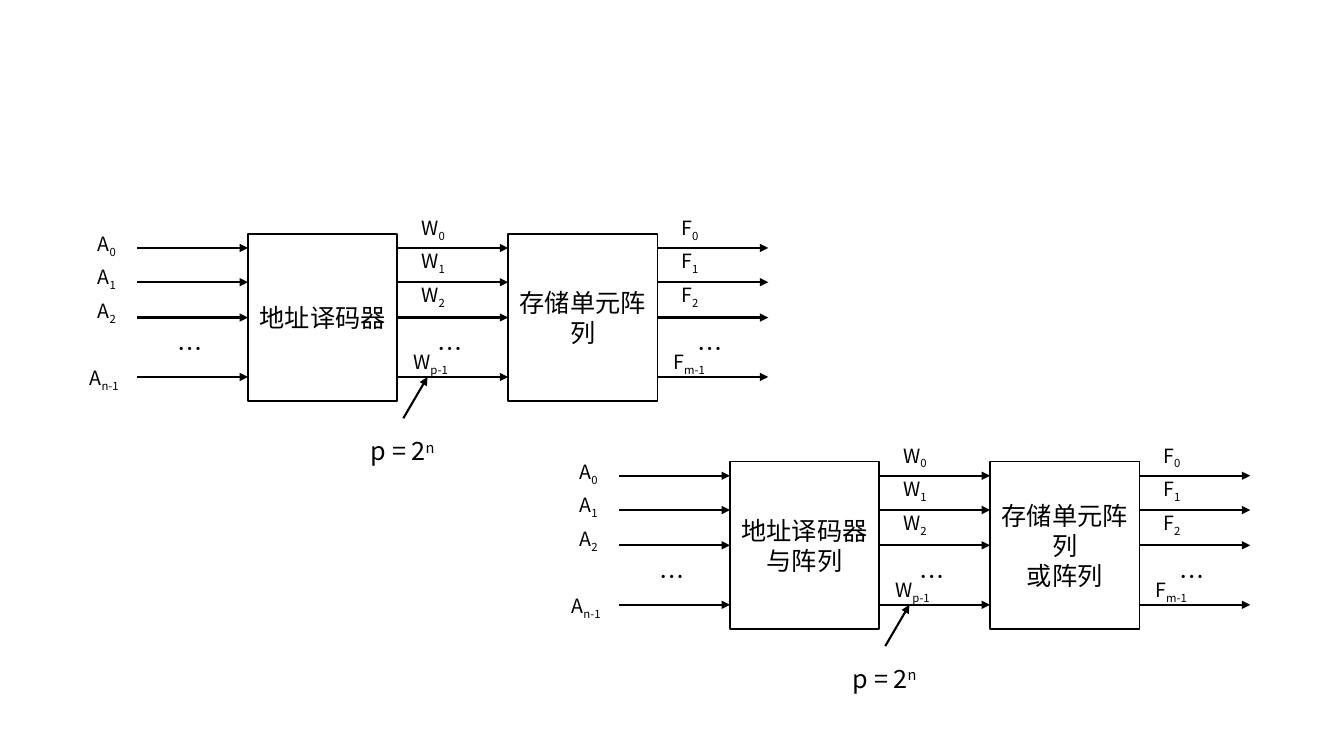
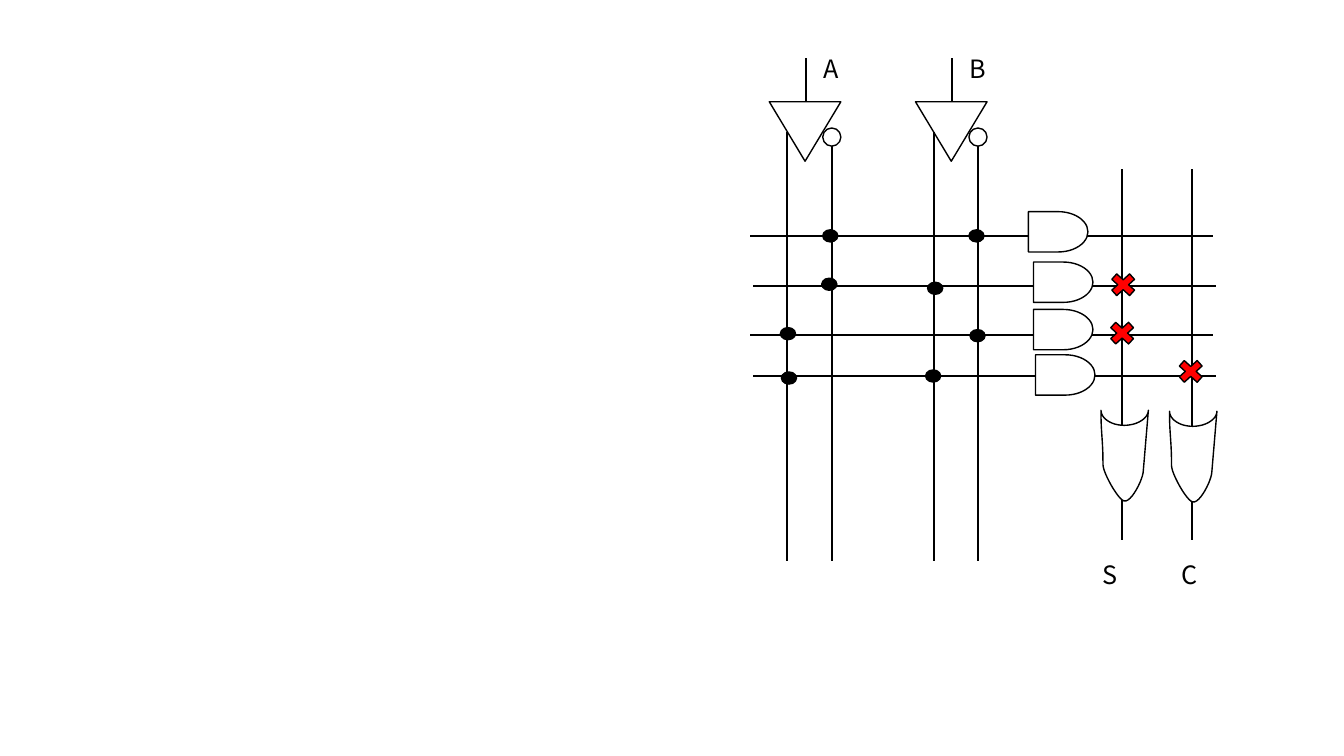
"""Two slides of memory logic: block diagrams and a programmable gate array."""
from dataclasses import dataclass

from lxml import etree
from pptx import Presentation
from pptx.dml.color import RGBColor
from pptx.enum.shapes import MSO_CONNECTOR, MSO_SHAPE
from pptx.enum.text import MSO_ANCHOR, MSO_AUTO_SIZE, PP_ALIGN
from pptx.oxml.ns import qn
from pptx.util import Inches, Pt

STRAIGHT = MSO_CONNECTOR.STRAIGHT
RECTANGLE, OVAL = MSO_SHAPE.RECTANGLE, MSO_SHAPE.OVAL
BUFFER = MSO_SHAPE.FLOWCHART_EXTRACT
AND_GATE = MSO_SHAPE.FLOWCHART_DELAY
CROSS = MSO_SHAPE.MATH_MULTIPLY
MIDDLE = MSO_ANCHOR.MIDDLE
GROW = MSO_AUTO_SIZE.SHAPE_TO_FIT_TEXT
CENTER, LEFT = PP_ALIGN.CENTER, PP_ALIGN.LEFT
BLANK_LAYOUT = 6
SUBSCRIPT, SUPERSCRIPT = -25000, 30000


@dataclass(frozen=True)
class Theme:
    """Colours, font, type sizes and line widths shared by the slides."""
    ink: RGBColor = RGBColor(0, 0, 0)
    paper: RGBColor = RGBColor(255, 255, 255)
    mark: RGBColor = RGBColor(255, 0, 0)
    font: str = "Noto Sans CJK SC"
    text: Pt = Pt(18)
    signal: Pt = Pt(14)
    outline: Pt = Pt(1)
    wire: Pt = Pt(1.5)


THEME = Theme()

# Signal rows, measured from the top of a block
WIRE_ROWS = (0.14, 0.48, 0.83, 1.42)
LABEL_SLOTS = (0, 1, 2, 4)
LABEL_STEP = 0.333
WIRE_LENGTH = 1.1
STAGE_STEP = 2.58
BLOCK_WIDTH, BLOCK_HEIGHT = 1.48, 1.66

# Gate array
ARRAY_TOP, ARRAY_BOTTOM = 1.89, 5.57
INPUTS = (("A", 7.63), ("B", 9.08))
PRODUCT_ROWS = ((7.44, 2.34), (7.47, 2.84), (7.44, 3.32), (7.47, 3.73))
ROW_LENGTH = 4.59
AND_GATES = ((10.2, 2.1), (10.25, 2.6), (10.25, 3.07), (10.27, 3.52))
DOTS = ((8.16, 2.28), (9.61, 2.28), (8.15, 2.76), (9.2, 2.8),
        (7.74, 3.25), (7.75, 3.69), (9.62, 3.27), (9.18, 3.67))
SUM_LINES = (11.13, 11.82)
OR_GATES = ((10.92, 4.07), (11.6, 4.08))
CROSSES = ((10.97, 2.67), (10.96, 3.15), (11.64, 3.53))
OUTPUTS = (("S", 10.84), ("C", 11.62))
# Cubic segments of an OR gate, measured from its upper left corner
OR_CURVES = (
    ((0, 0), (0, 0.08), (0.1, 0.15), (0.23, 0.15)),
    ((0.23, 0.15), (0.36, 0.15), (0.47, 0.08), (0.47, 0)),
    ((0.42, 0.6), (0.42, 0.68), (0.3, 0.92), (0.23, 0.9)),
    ((0.23, 0.9), (0.17, 0.89), (0.02, 0.62), (0.02, 0.54)),
    ((0.02, 0.54), (0.02, 0.28), (0, 0.25), (0, 0)),
)
CURVE_STEPS = 12


def style_paragraph(para, size, align=LEFT):
    """Set the font, colour, size and alignment of a paragraph."""
    para.alignment = align
    para.font.size = size
    para.font.color.rgb = THEME.ink
    para.font.name = THEME.font
    east_asian = etree.SubElement(para.font._element, qn("a:ea"))
    east_asian.set("typeface", THEME.font)


def paint(shape, fill):
    """Give a shape a flat fill and a thin dark outline."""
    shape.shadow.inherit = False
    shape.fill.solid()
    shape.fill.fore_color.rgb = fill
    shape.line.color.rgb = THEME.ink
    shape.line.width = THEME.outline


def add_figure(shapes, kind, left, top, width, height, fill=THEME.paper):
    """Add a painted preset shape."""
    figure = shapes.add_shape(kind, Inches(left), Inches(top),
                              Inches(width), Inches(height))
    paint(figure, fill)
    return figure


def add_wire(shapes, start, end, arrow=False):
    """Add a straight line, with an arrowhead at its end if asked."""
    wire = shapes.add_connector(STRAIGHT, *map(Inches, start + end))
    wire.line.color.rgb = THEME.ink
    wire.line.width = THEME.wire
    if arrow:
        head = etree.SubElement(wire.line._get_or_add_ln(), qn("a:tailEnd"))
        head.set("type", "triangle")
    etree.SubElement(wire._element.spPr, qn("a:effectLst"))


def add_label(shapes, left, top, width, text, size=THEME.text,
              script="", baseline=SUBSCRIPT):
    """Add a one-line label with an optional raised or lowered part."""
    height = 0.4 if size == THEME.text else 0.34
    box = shapes.add_textbox(Inches(left), Inches(top),
                             Inches(width), Inches(height))
    box.text_frame.word_wrap = True
    box.text_frame.auto_size = GROW
    para = box.text_frame.paragraphs[0]
    style_paragraph(para, size)
    para.add_run().text = text
    if script:
        span = para.add_run()
        span.text = script
        span.font._element.set("baseline", str(baseline))


def add_block(shapes, left, top, lines):
    """Add a rectangular block with centred text."""
    block = add_figure(shapes, RECTANGLE, left, top, BLOCK_WIDTH, BLOCK_HEIGHT)
    frame = block.text_frame
    frame.vertical_anchor = MIDDLE
    frame.text = "\n".join(lines)
    for para in frame.paragraphs:
        style_paragraph(para, THEME.text, CENTER)


def add_bus(shapes, left, top, name, last, label_left, label_top):
    """Add four arrows, their indexed labels and the ellipsis."""
    for row in WIRE_ROWS:
        add_wire(shapes, (left, top + row), (left + WIRE_LENGTH, top + row), True)
    add_label(shapes, left + 0.3, top + 0.94, 0.42, "…")
    for slot, index in zip(LABEL_SLOTS, ("0", "1", "2", last)):
        shift, width = (-0.08, 0.74) if index == last else (0, 0.5)
        add_label(shapes, left + label_left + shift,
                  top + label_top + slot * LABEL_STEP, width,
                  name, THEME.signal, index)


def add_memory(shapes, left, top, decoder, cells):
    """Add a decoder and cell array with their three signal buses."""
    for stage, lines in enumerate((decoder, cells)):
        add_block(shapes, left + WIRE_LENGTH + stage * STAGE_STEP, top, lines)
    buses = (("A", "n-1", -0.49, -0.07), ("W", "p-1", 0.14, -0.23),
             ("F", "m-1", 0.14, -0.23))
    for stage, bus in enumerate(buses):
        add_bus(shapes, left + stage * STAGE_STEP, top, *bus)
    add_label(shapes, left + 2.22, top + 1.95, 1, "p = 2",
              script="n", baseline=SUPERSCRIPT)
    add_wire(shapes, (left + 2.64, top + 1.83),
             (left + 2.88, top + WIRE_ROWS[-1]), True)


def add_input(page, name, left):
    """Add an input buffer with true and inverted outputs as one group."""
    shapes = page.shapes.add_group_shape().shapes
    add_wire(shapes, (left + 0.36, 0.58), (left + 0.36, 1.16))
    add_wire(shapes, (left + 0.62, 1.32), (left + 0.62, ARRAY_TOP))
    buffer = add_figure(shapes, BUFFER, left, 1.01, 0.71, 0.59)
    buffer._element.spPr.xfrm.set("flipV", "1")
    add_figure(shapes, OVAL, left + 0.53, 1.27, 0.18, 0.18)
    add_wire(shapes, (left + 0.18, 1.31), (left + 0.18, ARRAY_TOP))
    add_label(shapes, left + 0.44, 0.48, 0.5, name)


def curve_point(curve, t):
    """Return the point of a cubic Bezier curve at parameter t."""
    weights = ((1 - t) ** 3, 3 * t * (1 - t) ** 2, 3 * t * t * (1 - t), t ** 3)
    return tuple(sum(weight * point[axis] for weight, point in zip(weights, curve))
                 for axis in (0, 1))


def add_or_gate(shapes, left, top):
    """Add a downward OR gate outline."""
    points = [curve_point(curve, step / CURVE_STEPS)
              for curve in OR_CURVES for step in range(CURVE_STEPS + 1)]
    corners = [(Inches(left + x), Inches(top + y)) for x, y in points]
    builder = shapes.build_freeform(*corners[0])
    builder.add_line_segments(corners[1:], close=True)
    paint(builder.convert_to_shape(), THEME.paper)


def build_memory_page(page):
    """Draw the plain memory and its AND/OR array reading."""
    add_memory(page.shapes, 1.36, 2.32, ("地址译码器",), ("存储单元阵列",))
    add_memory(page.shapes, 6.14, 4.58, ("地址译码器", "与阵列"),
               ("存储单元阵列", "或阵列"))


def build_array_page(page):
    """Draw the half adder as a programmable AND/OR array."""
    shapes = page.shapes
    for name, left in INPUTS:
        add_input(page, name, left)
    for _, left in INPUTS:
        for x in (left + 0.18, left + 0.62):
            add_wire(shapes, (x, ARRAY_TOP), (x, ARRAY_BOTTOM))
    for left, y in PRODUCT_ROWS:
        add_wire(shapes, (left, y), (left + ROW_LENGTH, y))
    for left, top in AND_GATES:
        add_figure(shapes, AND_GATE, left, top, 0.59, 0.4)
    for left, top in DOTS:
        add_figure(shapes, OVAL, left, top, 0.15, 0.12, THEME.ink)
    for x in SUM_LINES:
        add_wire(shapes, (x, 1.68), (x, 5.36))
    for left, top in OR_GATES:
        add_or_gate(shapes, left, top)
    for left, top in CROSSES:
        add_figure(shapes, CROSS, left, top, 0.34, 0.31, THEME.mark)
    for name, left in OUTPUTS:
        add_label(shapes, left, 5.5, 0.47, name)


def main():
    """Build both slides and save the deck."""
    deck = Presentation()
    deck.slide_width, deck.slide_height = Inches(13.33), Inches(7.5)
    for build in (build_memory_page, build_array_page):
        build(deck.slides.add_slide(deck.slide_layouts[BLANK_LAYOUT]))
    deck.save("out.pptx")


main()
